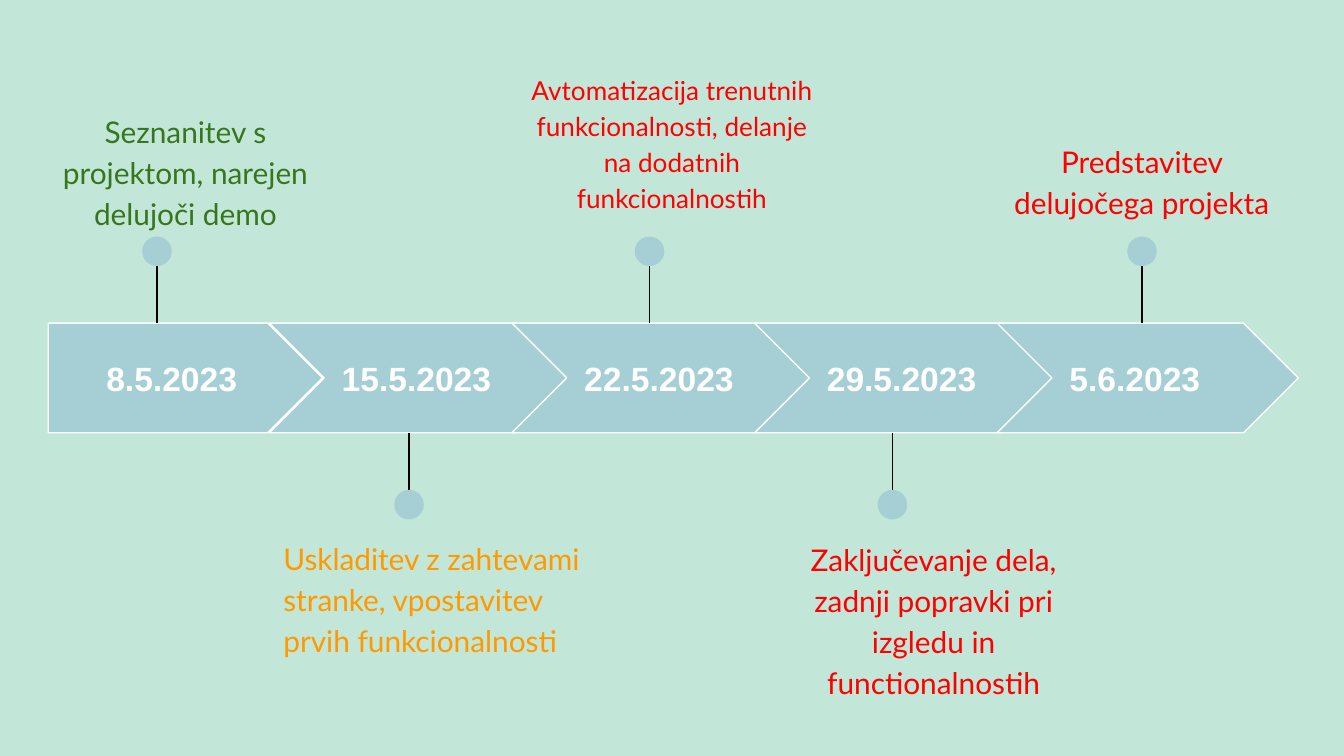
from dataclasses import dataclass

import pptx
import pptx.dml.color
import pptx.enum.shapes
import pptx.enum.text
import pptx.oxml.ns
import pptx.shapes.autoshape
import pptx.slide
import pptx.text.text
import pptx.util
from lxml import etree

SHAPE = pptx.enum.shapes.MSO_SHAPE
ANCHOR = pptx.enum.text.MSO_ANCHOR
ALIGN = pptx.enum.text.PP_ALIGN

COLORS = {
    "background": "C2E7D9",
    "arrow": "A6CFD5",
    "white": "FFFFFF",
    "stem": "000000",
    "done": "38761D",
    "current": "FF9900",
    "planned": "FF0000",
}

# A 16:9 slide with square grid cells, 100 columns wide.
SLIDE_WIDTH = pptx.util.Inches(10)
SLIDE_HEIGHT = SLIDE_WIDTH * 9 // 16
CELL = SLIDE_WIDTH / 100

# Positions below are in grid columns and rows.
BAND_TOP, BAND_HEIGHT = 24.05, 8.15
FIRST_LEFT, FIRST_WIDTH = 3.6, 20.4
CHEVRON_LEFT, CHEVRON_WIDTH, CHEVRON_STEP = 20.05, 22.4, 18.05
DOT_SIZE = 2.2
DOT_TOP_ABOVE, DOT_TOP_BELOW = 17.6, 36.45
CAPTION_HEIGHT = 9.9


@dataclass(frozen=True)
class Milestone:
    date: str
    caption: str
    status: str
    stem: float
    caption_left: float
    caption_top: float
    caption_width: float = 24.5
    size: int = 16
    align: ALIGN = ALIGN.CENTER


MILESTONES = [
    Milestone("8.5.2023", "Seznanitev s projektom, narejen delujoči demo",
              "done", 11.68, 1.55, 7.05),
    Milestone("15.5.2023",
              "Uskladitev z zahtevami stranke, vpostavitev prvih funkcionalnosti",
              "current", 30.43, 20.1, 38.8, align=ALIGN.LEFT),
    Milestone("22.5.2023",
              "Avtomatizacija trenutnih funkcionalnosti, delanje na dodatnih funkcionalnostih",
              "planned", 48.33, 38.45, 4.2, caption_width=23.1, size=14),
    Milestone("29.5.2023",
              "Zaključevanje dela, zadnji popravki pri izgledu in functionalnostih",
              "planned", 66.4, 57.22, 38.9),
    Milestone("5.6.2023", "Predstavitev delujočega projekta",
              "planned", 84.97, 72.7, 9.3),
]


def grid(cells: float) -> int:
    return round(cells * CELL)


def color(name: str) -> pptx.dml.color.RGBColor:
    return pptx.dml.color.RGBColor.from_string(COLORS[name])


def write(shape: pptx.shapes.autoshape.Shape, text: str, font_name: str, size: int,
          color_name: str, align: ALIGN, margin: float,
          anchor: ANCHOR) -> pptx.text.text._Paragraph:
    """Fill the shape with one formatted paragraph and return that paragraph."""
    frame = shape.text_frame
    frame.word_wrap = True
    frame.vertical_anchor = anchor
    frame.margin_left = frame.margin_right = pptx.util.Inches(margin)
    frame.margin_top = frame.margin_bottom = pptx.util.Inches(margin)
    paragraph = frame.paragraphs[0]
    paragraph.text = text
    paragraph.alignment = align
    paragraph.font.name = font_name
    paragraph.font.size = pptx.util.Pt(size)
    paragraph.font.color.rgb = color(color_name)
    return paragraph


def add_arrow(slide: pptx.slide.Slide, index: int, date: str) -> None:
    if index == 0:
        kind, left, width, align = SHAPE.PENTAGON, FIRST_LEFT, FIRST_WIDTH, ALIGN.CENTER
    else:
        left = CHEVRON_LEFT + (index - 1) * CHEVRON_STEP
        kind, width, align = SHAPE.CHEVRON, CHEVRON_WIDTH, ALIGN.LEFT
    arrow = slide.shapes.add_shape(
        kind, grid(left), grid(BAND_TOP), grid(width), grid(BAND_HEIGHT))
    arrow.shadow.inherit = False
    arrow.fill.solid()
    arrow.fill.fore_color.rgb = color("arrow")
    arrow.line.color.rgb = color("white")
    arrow.line.width = pptx.util.Pt(0.75)
    paragraph = write(arrow, date, "Arial", 18, "white", align, 0.13, ANCHOR.MIDDLE)
    paragraph.font.bold = True


def add_pin(slide: pptx.slide.Slide, center: float, above: bool) -> None:
    """Group a dot with the stem that ties it to the arrow band."""
    dot_top = DOT_TOP_ABOVE if above else DOT_TOP_BELOW
    band_edge = BAND_TOP if above else BAND_TOP + BAND_HEIGHT
    pin = slide.shapes.add_group_shape()
    stem = pin.shapes.add_connector(
        pptx.enum.shapes.MSO_CONNECTOR.STRAIGHT,
        grid(center), grid(dot_top + DOT_SIZE / 2), grid(center), grid(band_edge))
    stem.line.color.rgb = color("stem")
    stem.line.width = pptx.util.Pt(0.75)
    etree.SubElement(stem._element.spPr, pptx.oxml.ns.qn("a:effectLst"))
    dot = pin.shapes.add_shape(SHAPE.OVAL, grid(center - DOT_SIZE / 2), grid(dot_top),
                               grid(DOT_SIZE), grid(DOT_SIZE))
    dot.shadow.inherit = False
    dot.fill.solid()
    dot.fill.fore_color.rgb = color("arrow")
    dot.line.fill.background()


def add_caption(slide: pptx.slide.Slide, milestone: Milestone) -> None:
    caption = slide.shapes.add_textbox(
        grid(milestone.caption_left), grid(milestone.caption_top),
        grid(milestone.caption_width), grid(CAPTION_HEIGHT))
    paragraph = write(caption, milestone.caption, "Lato", milestone.size,
                      milestone.status, milestone.align, 0.1, ANCHOR.TOP)
    paragraph.line_spacing = 1.15
    paragraph.space_after = pptx.util.Pt(16)


def main() -> None:
    presentation = pptx.Presentation()
    presentation.slide_width = SLIDE_WIDTH
    presentation.slide_height = SLIDE_HEIGHT
    slide = presentation.slides.add_slide(presentation.slide_layouts[6])
    slide.background.fill.solid()
    slide.background.fill.fore_color.rgb = color("background")
    for index, milestone in enumerate(MILESTONES):
        add_arrow(slide, index, milestone.date)
        add_pin(slide, milestone.stem, above=index % 2 == 0)
        add_caption(slide, milestone)
    presentation.save("out.pptx")


if __name__ == "__main__":
    main()
